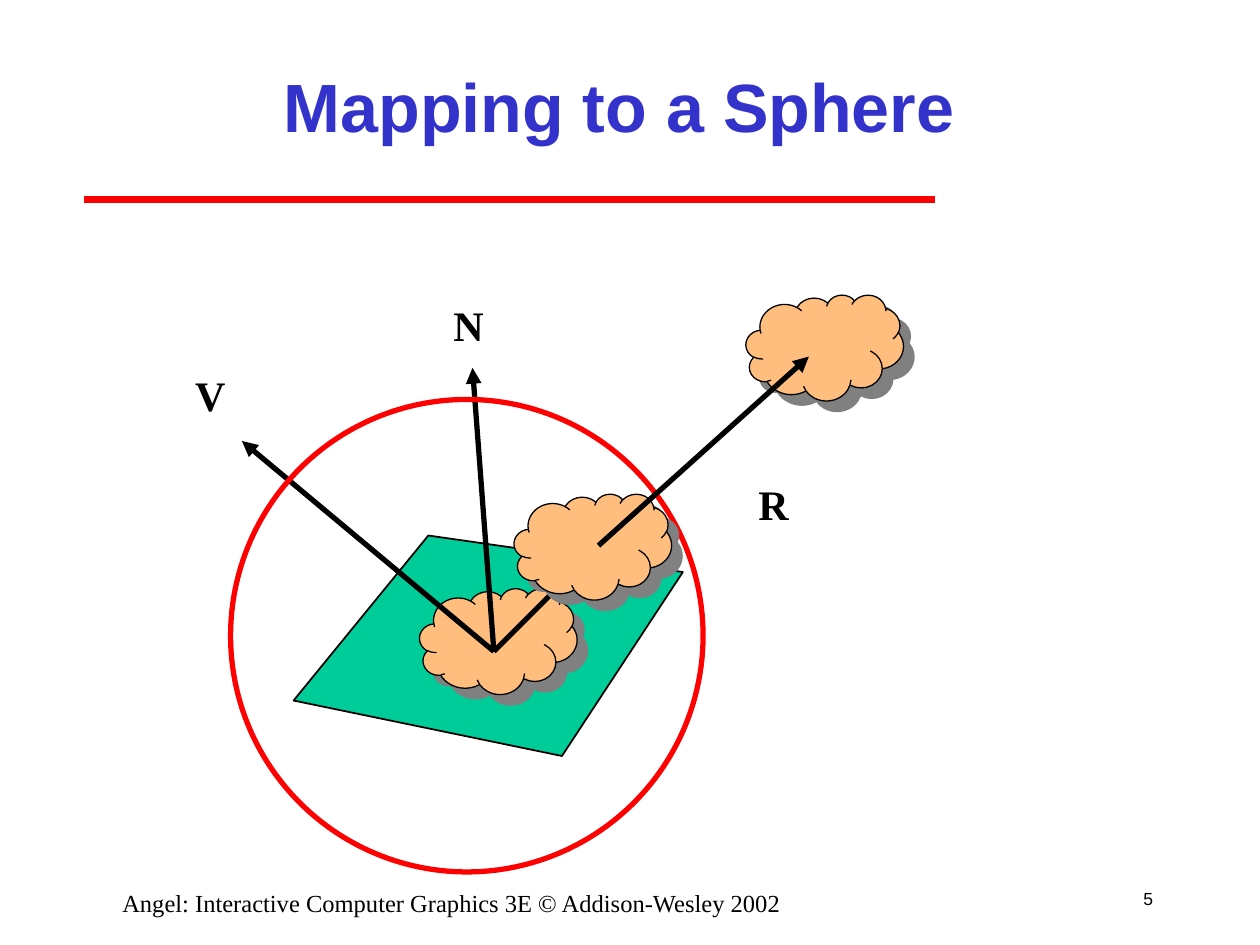
import pptx
import pptx.util
import pptx.dml.color
import pptx.enum.shapes
import pptx.enum.text
import pptx.oxml
import pptx.oxml.ns

Inches, Pt = pptx.util.Inches, pptx.util.Pt
RGBColor = pptx.dml.color.RGBColor
Shape = pptx.enum.shapes.MSO_SHAPE
Align = pptx.enum.text.PP_ALIGN
Anchor = pptx.enum.text.MSO_ANCHOR

BLACK = RGBColor(0x00, 0x00, 0x00)
RED = RGBColor(0xFF, 0x00, 0x00)
BLUE = RGBColor(0x33, 0x33, 0xCC)
GREEN = RGBColor(0x00, 0xCC, 0x99)
PEACH = RGBColor(0xFF, 0xBE, 0x7D)

SHADOW = (
    f'<a:effectLst {pptx.oxml.ns.nsdecls("a")}>'
    '<a:outerShdw dist="107950" dir="2700000" algn="ctr" rotWithShape="0">'
    '<a:srgbClr val="808080"/></a:outerShdw></a:effectLst>'
)

prs = pptx.Presentation()
prs.slide_width, prs.slide_height = Inches(10), Inches(7.5)
slide = prs.slides.add_slide(prs.slide_layouts[5])
shapes = slide.shapes


def add_line(start, end, color, width, arrow=True):
    ends = [Inches(v) for v in (*start, *end)]
    line = shapes.add_connector(pptx.enum.shapes.MSO_CONNECTOR.STRAIGHT, *ends)
    line.line.color.rgb = color
    line.line.width = Pt(width)
    props = line._element.spPr
    props.append(pptx.oxml.parse_xml(f'<a:effectLst {pptx.oxml.ns.nsdecls("a")}/>'))
    if arrow:
        tail = f'<a:tailEnd {pptx.oxml.ns.nsdecls("a")} type="triangle"/>'
        line.line._get_or_add_ln().append(pptx.oxml.parse_xml(tail))


def add_text(text, box, size, face, align=Align.LEFT, bold=False, wrap=True):
    frame = shapes.add_textbox(*[Inches(v) for v in box]).text_frame
    frame.word_wrap = wrap
    para = frame.paragraphs[0]
    para.text = text
    para.alignment = align
    font = para.font
    font.name, font.size, font.bold = face, Pt(size), bold
    font.color.rgb = BLACK
    return frame


# Title, rule and footer
title = shapes.title
title.left, title.top = Inches(1.5), Inches(0.25)
title.width, title.height = Inches(6.83), Inches(1.17)
frame = title.text_frame
frame.text = "Mapping to a Sphere"
frame.auto_size = pptx.enum.text.MSO_AUTO_SIZE.NONE
frame.vertical_anchor = Anchor.MIDDLE
para = frame.paragraphs[0]
para.alignment = Align.CENTER
para.font.name, para.font.size, para.font.bold = "Arial", Pt(39), True
para.font.color.rgb = BLUE

add_line((0.67, 1.58), (7.42, 1.58), RED, 4, arrow=False)
page = add_text("5", (8.83, 6.92, 0.42, 0.42), 10, "Arial", Align.RIGHT)
page.vertical_anchor = Anchor.MIDDLE
add_text("Angel: Interactive Computer Graphics 3E © Addison-Wesley 2002",
         (0.5, 7, 6.17, 0.25), 14, "Times New Roman", Align.CENTER)

# Surface patch
corners = [(2.33, 5.56), (3.4, 4.25), (5.42, 4.54), (4.46, 6)]
points = [(Inches(x), Inches(y)) for x, y in corners]
pen = shapes.build_freeform(*points[0])
pen.add_line_segments(points[1:], close=True)
patch = pen.convert_to_shape()
patch.shadow.inherit = False
patch.fill.solid()
patch.fill.fore_color.rgb = GREEN
patch.line.color.rgb = BLACK
patch.line.width = Pt(1)

# Clouds: on the surface, in the scene, on the sphere
clouds = []
for x, y in [(3.33, 4.67), (5.92, 2.34), (4.08, 3.92)]:
    cloud = shapes.add_shape(Shape.CLOUD, Inches(x), Inches(y), Inches(1.25), Inches(0.84))
    cloud.fill.solid()
    cloud.fill.fore_color.rgb = PEACH
    cloud.line.color.rgb = BLACK
    cloud.line.width = Pt(0.75)
    cloud._element.spPr.append(pptx.oxml.parse_xml(SHADOW))
    clouds.append(cloud)

# Vectors from the surface point
for tip in [(1.92, 3.5), (3.75, 2.92), (4.67, 4.42)]:
    add_line((3.92, 5.17), tip, BLACK, 3)
for name, x, y in [("V", 1.45, 2.88), ("N", 3.5, 2.33), ("R", 5.92, 3.75)]:
    add_text(name, (x, y, 0.44, 0.5), 24, "Times New Roman", bold=True, wrap=False)

sphere = shapes.add_shape(Shape.OVAL, Inches(1.83), Inches(3.17), Inches(3.75), Inches(3.75))
sphere.shadow.inherit = False
sphere.fill.background()
sphere.line.color.rgb = RED
sphere.line.width = Pt(3)

# The cloud on the sphere covers the outline and the short arrow
shapes._spTree.append(clouds[-1]._element)
add_line((4.75, 4.33), (6.42, 2.83), BLACK, 3)

prs.save("out.pptx")
